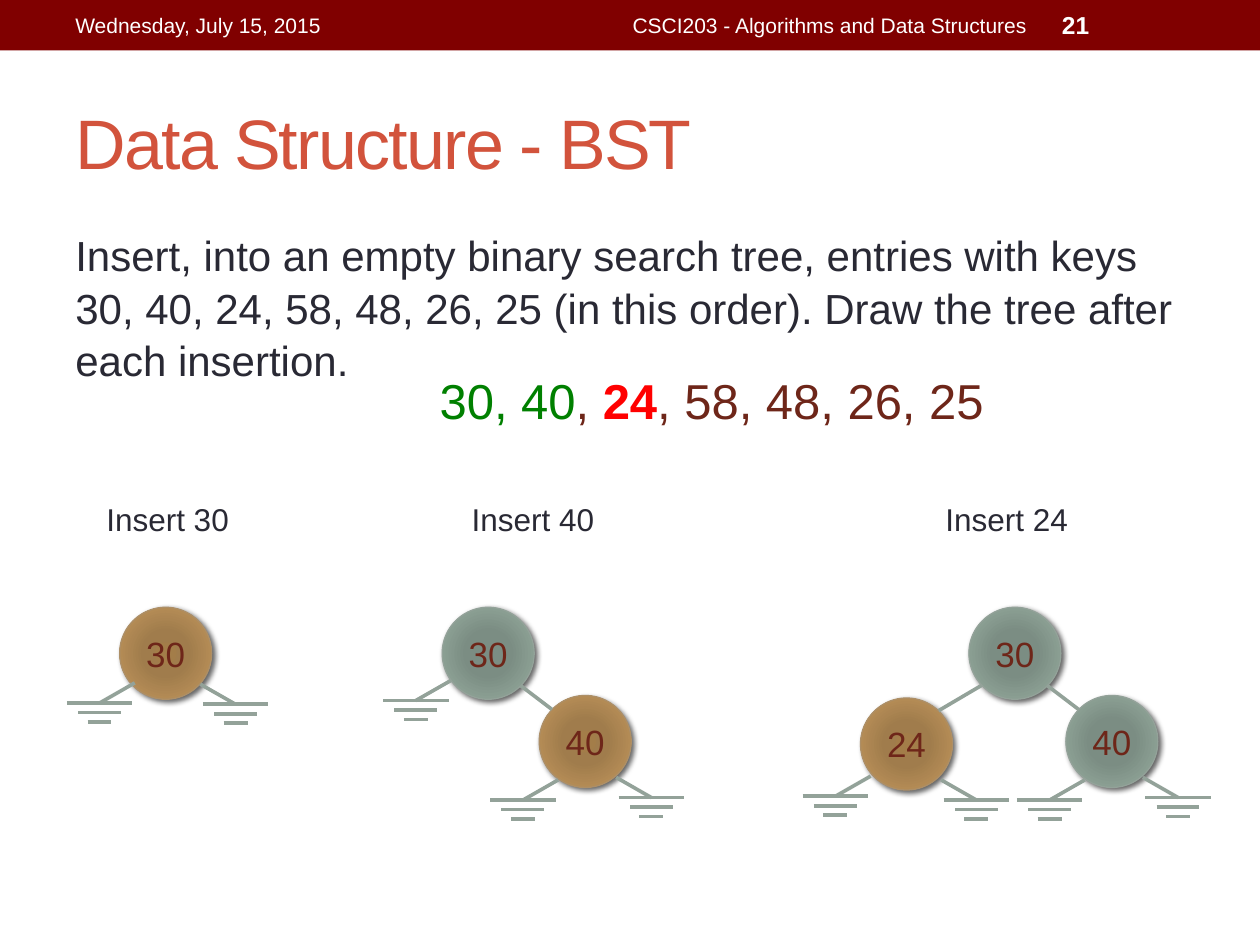
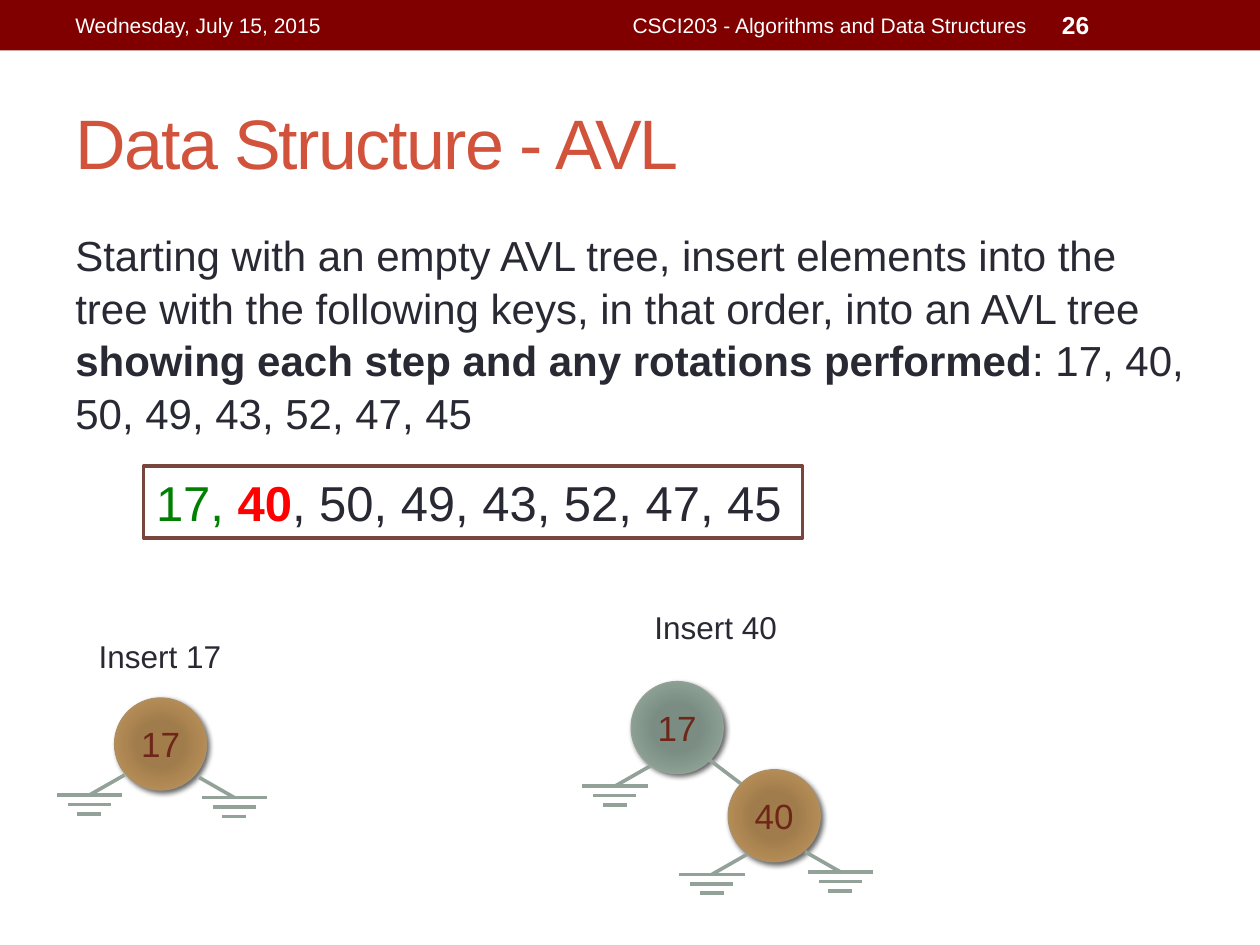
import lxml.etree
import pptx
import pptx.dml.color
import pptx.enum.shapes
import pptx.enum.text
import pptx.oxml
import pptx.oxml.ns
import pptx.util

# The slide is a grid of 100 columns and 75 rows; all places count cells.
CELL = pptx.util.Inches(0.1)
COLUMNS, ROWS = 100, 75
MARGIN = 5
NODE = 7.3
BAND, TITLE, INK, WHITE = "800000", "D2533C", "292934", "FFFFFF"
DONE, CURRENT, RUST, BOX_EDGE, BRANCH = "008000", "FF0000", "6E2619", "79463D", "93A299"
OLD_STOPS = {0: "7B8E82", 34: "7B8D83", 70: "8A9E92", 100: "93A299"}
NEW_STOPS = {0: "A37D49", 34: "A07C4C", 70: "B38B55", 100: "AD8F67"}
# Half width and drop of each bar of the sign for an empty subtree
EMPTY_BARS = [(2.6, 0), (1.7, 0.75), (0.95, 1.5)]

LEFT, CENTER, RIGHT = (pptx.enum.text.PP_ALIGN.LEFT, pptx.enum.text.PP_ALIGN.CENTER,
                       pptx.enum.text.PP_ALIGN.RIGHT)
TOP, MIDDLE = pptx.enum.text.MSO_ANCHOR.TOP, pptx.enum.text.MSO_ANCHOR.MIDDLE
SHAPES = pptx.enum.shapes.MSO_SHAPE
NAMESPACE = pptx.oxml.ns.nsdecls("a")


def color(hex_string):
    return pptx.dml.color.RGBColor.from_string(hex_string)


def write(shape, runs, size, align=LEFT, anchor=TOP):
    """Fill the shape with one paragraph of (text, colour, bold) runs."""
    frame = shape.text_frame
    frame.word_wrap = True
    frame.vertical_anchor = anchor
    paragraph = frame.paragraphs[0]
    paragraph.alignment = align
    for text, ink, bold in runs:
        run = paragraph.add_run()
        run.text = text
        run.font.name = "Arial"
        run.font.size = pptx.util.Pt(size)
        run.font.bold = bold
        run.font.color.rgb = color(ink)


# A node is (key, is new, place from the root, tips of its empty branches from
# the node); an edge is its two ends from the root.
LEAF_TIPS = [(-1.3, 8.3), (8.9, 8.1)]
RIGHT_EDGE = (6.2, 6.2, 8.7, 8.1)
RIGHT_CHILD = (7.7, 7)

lessons = [
    {
        "title": "Data Structure - BST",
        "number": "21",
        "task": [("Insert, into an empty binary search tree, entries with keys 30, 40, 24, "
                  "58, 48, 26, 25 (in this order). Draw the tree after each insertion.",
                  INK, False)],
        "keys": [("30, 40", DONE, False), (", ", RUST, False), ("24", CURRENT, True),
                 (", 58, 48, 26, 25", RUST, False)],
        "keys_place": (33.9, 28.9, 48.5),
        "keys_edge": None,
        "trees": [
            {"label": "Insert 30", "label_place": (4.2, 39.2), "root": (9.5, 48.2),
             "nodes": [("30", True, (0, 0), [(-1.6, 7.6), (9.2, 7.7)])],
             "edges": []},
            {"label": "Insert 40", "label_place": (33.2, 39.2), "root": (35.1, 48.2),
             "nodes": [("30", False, (0, 0), [(-2.1, 7.4)]),
                       ("40", True, RIGHT_CHILD, LEAF_TIPS)],
             "edges": [RIGHT_EDGE]},
            {"label": "Insert 24", "label_place": (70.8, 39.2), "root": (76.9, 48.2),
             "nodes": [("30", False, (0, 0), []),
                       ("40", False, RIGHT_CHILD, LEAF_TIPS),
                       ("24", True, (-8.6, 7.2), [(-2, 7.8), (9.2, 8.1)])],
             "edges": [RIGHT_EDGE, (1, 6.2, -2.4, 8.2)]},
        ],
    },
    {
        "title": "Data Structure - AVL",
        "number": "26",
        "task": [("Starting with an empty AVL tree, insert elements into the tree with the "
                  "following keys, in that order, into an AVL tree ", INK, False),
                 ("showing each step and any rotations performed", INK, True),
                 (": 17, 40, 50, 49, 43, 52, 47, 45", INK, False)],
        "keys": [("17, ", DONE, False), ("40", CURRENT, True),
                 (", 50, 49, 43, 52, 47, 45", INK, False)],
        "keys_place": (11.4, 37, 52.3),
        "keys_edge": BOX_EDGE,
        "trees": [
            {"label": "Insert 17", "label_place": (3.6, 50.1), "root": (9.1, 55.4),
             "nodes": [("17", True, (0, 0), [(-2, 7.7), (9.5, 7.9)])],
             "edges": []},
            {"label": "Insert 40", "label_place": (47.7, 47.8), "root": (50.1, 54.1),
             "nodes": [("17", False, (0, 0), [(-1.3, 8.3)]),
                       ("40", True, RIGHT_CHILD, LEAF_TIPS)],
             "edges": [RIGHT_EDGE]},
        ],
    },
]

deck = pptx.Presentation()
deck.slide_width = COLUMNS * CELL
deck.slide_height = ROWS * CELL
title_only = deck.slide_layouts[5]

for lesson in lessons:
    slide = deck.slides.add_slide(title_only)
    shapes = slide.shapes

    band = shapes.add_shape(SHAPES.RECTANGLE, 0, 0, COLUMNS * CELL, 4 * CELL)
    band.shadow.inherit = False
    band.fill.solid()
    band.fill.fore_color.rgb = color(BAND)
    band.line.fill.background()

    title = shapes.title
    title.left, title.top = MARGIN * CELL, int(5.8 * CELL)
    title.width, title.height = (COLUMNS - 2 * MARGIN) * CELL, int(10.8 * CELL)
    write(title, [(lesson["title"], TITLE, False)], 40, anchor=MIDDLE)
    title.text_frame.auto_size = pptx.enum.text.MSO_AUTO_SIZE.NONE
    title.text_frame.paragraphs[0].runs[0].font._element.set("spc", "-100")

    header = [
        (MARGIN, 31.7, "Wednesday, July 15, 2015", 12, False, LEFT),
        (37.5, 45, "CSCI203 - Algorithms and Data Structures", 12, False, RIGHT),
        (83.3, 11.7, lesson["number"], 14, True, LEFT),
    ]
    for left, width, text, size, bold, align in header:
        entry = shapes.add_textbox(int(left * CELL), int(0.2 * CELL),
                                   int(width * CELL), int(3.6 * CELL))
        write(entry, [(text, WHITE, bold)], size, align, MIDDLE)

    task = shapes.add_textbox(MARGIN * CELL, int(17.5 * CELL),
                              (COLUMNS - 2 * MARGIN) * CELL, int(53.3 * CELL))
    write(task, lesson["task"], 24)
    task.text_frame.paragraphs[0].line_spacing = 1.05

    left, top, width = lesson["keys_place"]
    keys = shapes.add_shape(SHAPES.RECTANGLE, int(left * CELL), int(top * CELL),
                            int(width * CELL), int(5.7 * CELL))
    keys.shadow.inherit = False
    keys.fill.solid()
    keys.fill.fore_color.rgb = color(WHITE)
    if lesson["keys_edge"]:
        keys.line.color.rgb = color(lesson["keys_edge"])
        keys.line.width = pptx.util.Pt(2.08)
    else:
        keys.line.fill.background()
    write(keys, lesson["keys"], 28)

    for tree in lesson["trees"]:
        left, top = tree["label_place"]
        label = shapes.add_textbox(int(left * CELL), int(top * CELL),
                                   int(18.2 * CELL), 4 * CELL)
        write(label, [(tree["label"], INK, False)], 18, CENTER)

        root_x, root_y = tree["root"]
        branches = [(root_x + x1, root_y + y1, root_x + x2, root_y + y2)
                    for x1, y1, x2, y2 in tree["edges"]]

        for key, is_new, (across, down), tips in tree["nodes"]:
            x, y = root_x + across, root_y + down
            stops = NEW_STOPS if is_new else OLD_STOPS
            node = shapes.add_shape(SHAPES.OVAL, int(x * CELL), int(y * CELL),
                                    int(NODE * CELL), int(NODE * CELL))
            node.line.color.rgb = color(stops[100])
            node.line.width = pptx.util.Pt(0.75)
            node.shadow.inherit = False
            stop_xml = "".join(f'<a:gs pos="{share * 1000}"><a:srgbClr val="{tone}"/></a:gs>'
                               for share, tone in stops.items())
            properties = node._element.spPr
            properties.insert(2, pptx.oxml.parse_xml(
                f'<a:gradFill {NAMESPACE} rotWithShape="1"><a:gsLst>{stop_xml}</a:gsLst>'
                '<a:path path="circle"><a:fillToRect l="100000" t="100000" r="100000" '
                'b="100000"/></a:path></a:gradFill>'))
            properties.find(pptx.oxml.ns.qn("a:effectLst")).append(pptx.oxml.parse_xml(
                f'<a:outerShdw {NAMESPACE} blurRad="38100" dist="25400" dir="2700000" '
                'rotWithShape="0"><a:srgbClr val="000000"><a:alpha val="60000"/>'
                '</a:srgbClr></a:outerShdw>'))
            write(node, [(key, RUST, False)], 20, CENTER, MIDDLE)

            for tip_across, tip_down in tips:
                tip_x, tip_y = x + tip_across, y + tip_down
                stub = 2.8 if tip_across < 0 else -2.8
                branches.append((tip_x + stub, tip_y - 1.6, tip_x, tip_y))
                branches += [(tip_x - half, tip_y + drop, tip_x + half, tip_y + drop)
                             for half, drop in EMPTY_BARS]

        for ends in branches:
            branch = shapes.add_connector(pptx.enum.shapes.MSO_CONNECTOR.STRAIGHT,
                                          *(int(end * CELL) for end in ends))
            branch.line.color.rgb = color(BRANCH)
            branch.line.width = pptx.util.Pt(2.08)
            lxml.etree.SubElement(branch._element.spPr, pptx.oxml.ns.qn("a:effectLst"))

deck.save("out.pptx")
